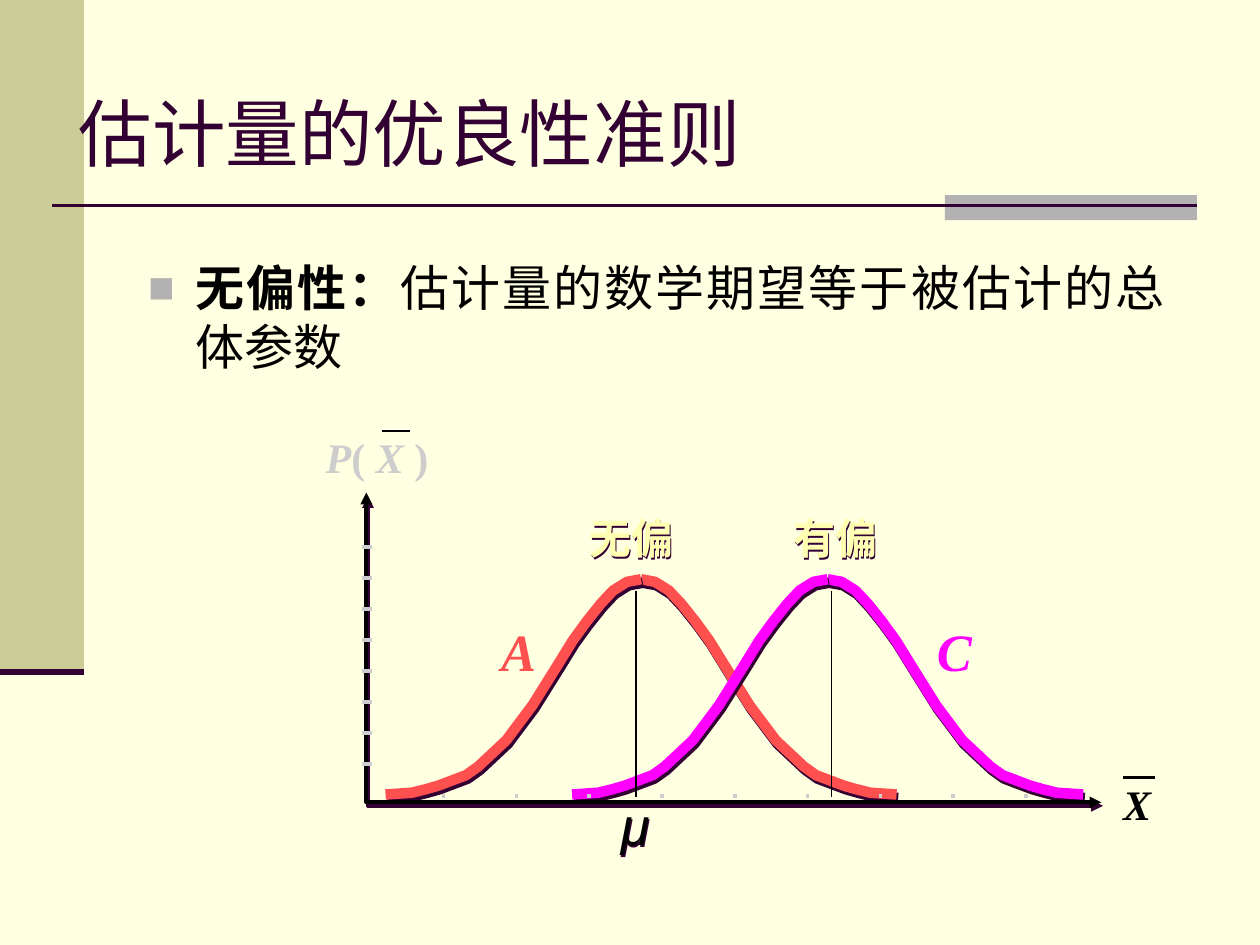
from lxml import etree
from pptx import Presentation
from pptx.dml.color import RGBColor
from pptx.enum import shapes, text
from pptx.oxml import ns
from pptx.util import Pt

HUES = {"page": "FFFFE1", "band": "CCCC99", "gray": "B2B2B2", "plum": "330033",
        "ink": "000000", "red": "FF5050", "pink": "FF00FF", "tick": "CDCDCD",
        "cream": "FFFFB1"}
HALF = [(146, 123), (131, 122), (123, 120), (116, 118), (108, 115), (100, 112),
        (93, 107), (77, 92), (62, 72), (47, 48), (39, 35), (31, 24), (23, 14),
        (16, 6.5), (8, 1.5), (0, 0)]


def hue(name):
    """Return a named colour."""
    return RGBColor.from_string(HUES[name])


def node(parent, tag, **attrs):
    """Append a drawing element to a parent."""
    return etree.SubElement(parent, ns.qn("a:" + tag), attrs)


def shade(shape, gap=2.2):
    """Give a shape a hard plum shadow."""
    shape.shadow.inherit = False
    fx = shape._element.spPr.find(ns.qn("a:effectLst"))
    cast = node(fx, "outerShdw", blurRad="0", dist=str(Pt(gap)), dir=str(64 * 60000),
                algn="ctr", rotWithShape="0")
    node(cast, "srgbClr", val=HUES["plum"])


def rect(slide, x, y, w, h, tint):
    """Draw a plain filled rectangle."""
    box = slide.shapes.add_shape(shapes.MSO_SHAPE.RECTANGLE, Pt(x), Pt(y), Pt(w), Pt(h))
    box.shadow.inherit = False
    box.fill.solid()
    box.fill.fore_color.rgb = hue(tint)
    box.line.fill.background()


def rule(slide, x1, y1, x2, y2, tint, width):
    """Draw a straight line."""
    line = slide.shapes.add_connector(shapes.MSO_CONNECTOR.STRAIGHT,
                                      Pt(x1), Pt(y1), Pt(x2), Pt(y2))
    line.line.color.rgb = hue(tint)
    line.line.width = Pt(width)
    node(line._element.spPr, "effectLst")


def trace(slide, dots, tint, width):
    """Draw an open, shadowed path through points."""
    dots = [(Pt(x), Pt(y)) for x, y in dots]
    path = slide.shapes.build_freeform(*dots[0])
    path.add_line_segments(dots[1:], close=False)
    shape = path.convert_to_shape()
    shape.fill.background()
    shape.line.color.rgb = hue(tint)
    shape.line.width = Pt(width)
    shade(shape)
    return shape


def label(slide, x, y, w, h, runs, size, tint, font="Arial", pad=True, wrap=True):
    """Place a text box of (words, bold, italic) runs."""
    box = slide.shapes.add_textbox(Pt(x), Pt(y), Pt(w), Pt(h))
    frame = box.text_frame
    frame.word_wrap = wrap
    if not pad:
        frame.margin_left = frame.margin_right = 0
        frame.margin_top = frame.margin_bottom = 0
    para = frame.paragraphs[0]
    for words, bold, slant in runs:
        run = para.add_run()
        run.text = words
        run.font.name, run.font.size = font, Pt(size)
        run.font.bold, run.font.italic = bold, slant
        run.font.color.rgb = hue(tint)
    return box


def frame(slide):
    """Draw the side band and the title rules."""
    rect(slide, 0, 0, 48, 384, "band")
    rect(slide, 540, 111.5, 144, 14.4, "gray")
    rule(slide, 30, 117.4, 684, 117.4, "plum", 1.5)
    rule(slide, 0, 384, 48, 384, "plum", 3.5)


def head(slide, x, y, w, h):
    """Write the title."""
    box = label(slide, x, y, w, h, [("估计量的优良性准则", False, False)],
                42, "plum", "Times New Roman")
    box.text_frame.vertical_anchor = text.MSO_ANCHOR.MIDDLE


def body(slide, x, y, w, h):
    """Write the bulleted definition."""
    runs = [("无偏性：", True, False),
            ("估计量的数学期望等于被估计的总体参数", False, False)]
    para = label(slide, x, y, w, h, runs, 28, "ink").text_frame.paragraphs[0]
    para.alignment = text.PP_ALIGN.JUSTIFY
    props = para._p.get_or_add_pPr()
    props.set("marL", str(Pt(27)))
    props.set("indent", str(Pt(-27)))
    node(node(props, "buClr"), "srgbClr", val=HUES["gray"])
    node(props, "buSzPct", val="90000")
    node(props, "buFont", typeface="Arial")
    node(props, "buChar", char="■")


def bell(slide, x, y, tint):
    """Draw both halves of a bell curve about its peak."""
    for side in (1, -1):
        trace(slide, [(x + side * dx, y + dy) for dx, dy in HALF], tint, 6)


def axes(slide, x, y, w, h):
    """Draw the two axes with arrowheads and ticks."""
    line = trace(slide, [(x, y), (x, y + h), (x + w, y + h)], "ink", 2.25)
    pen = line.line._get_or_add_ln()
    node(pen, "headEnd", type="triangle")
    node(pen, "tailEnd", type="triangle")
    for i in range(8):
        level = y + 31 + 17.7 * i
        rule(slide, x - 2.7, level, x + 3, level, "tick", 2.25)
    for i in range(9):
        place = x + 44.2 + 41.6 * i
        rule(slide, place, y + h - 4.5, place, y + h - 2.5, "tick", 2.13)


def plot(slide, x, y, w, h):
    """Draw the two sampling distributions with their labels."""
    serif = "Times New Roman"
    label(slide, x - 23.2, y - 35.2, 62, 29,
          [("P", True, True), ("( ", True, False), ("X", True, True), (" )", True, False)],
          24, "tick", serif, False, False)
    label(slide, x + w + 12.5, y + h - 13.5, 22, 29, [("X", True, True)],
          24, "ink", serif, False)
    rule(slide, x + 8.9, y - 35.3, x + 24.7, y - 35.3, "ink", 1.5)
    rule(slide, x + w + 12.7, y + h - 14.3, x + w + 30.7, y + h - 14.3, "ink", 1.5)
    bell(slide, x + 157, y + 49.5, "red")
    bell(slide, x + 263.6, y + 49.5, "pink")
    for dx, words, tint in ((326.1, "C", "pink"), (77, "A", "red")):
        label(slide, x + dx, y + 72.2, 20, 36, [(words, True, True)],
              30, tint, serif, False, False)
    axes(slide, x, y, w, h)
    for dx, dy, wide, high, run, size, tint in (
            (126.7, 168, 54, 43, ("μ", False, True), 30, "ink"),
            (95.5, 7.8, 112, 36, ("无偏", True, False), 24, "cream"),
            (207.2, 7.8, 122, 36, ("有偏", True, False), 24, "cream")):
        box = label(slide, x + dx, y + dy, wide, high, [run], size, tint)
        box.text_frame.paragraphs[0].alignment = text.PP_ALIGN.CENTER
        box.fill.background()
        shade(box, 1.4)
    for dx in (154.2, 265.8):
        rule(slide, x + dx, y + 56, x + dx, y + h - 2.8, "ink", 1)


def main():
    """Build and save the slide."""
    deck = Presentation()
    deck.slide_width, deck.slide_height = Pt(720), Pt(540)
    slide = deck.slides.add_slide(deck.slide_layouts[6])
    slide.background.fill.solid()
    slide.background.fill.fore_color.rgb = hue("page")
    frame(slide)
    head(slide, 38, 44, 396, 63)
    body(slide, 77.6, 143.7, 595, 84)
    plot(slide, 209.3, 281.5, 420, 177)
    deck.save("out.pptx")


if __name__ == "__main__":
    main()
